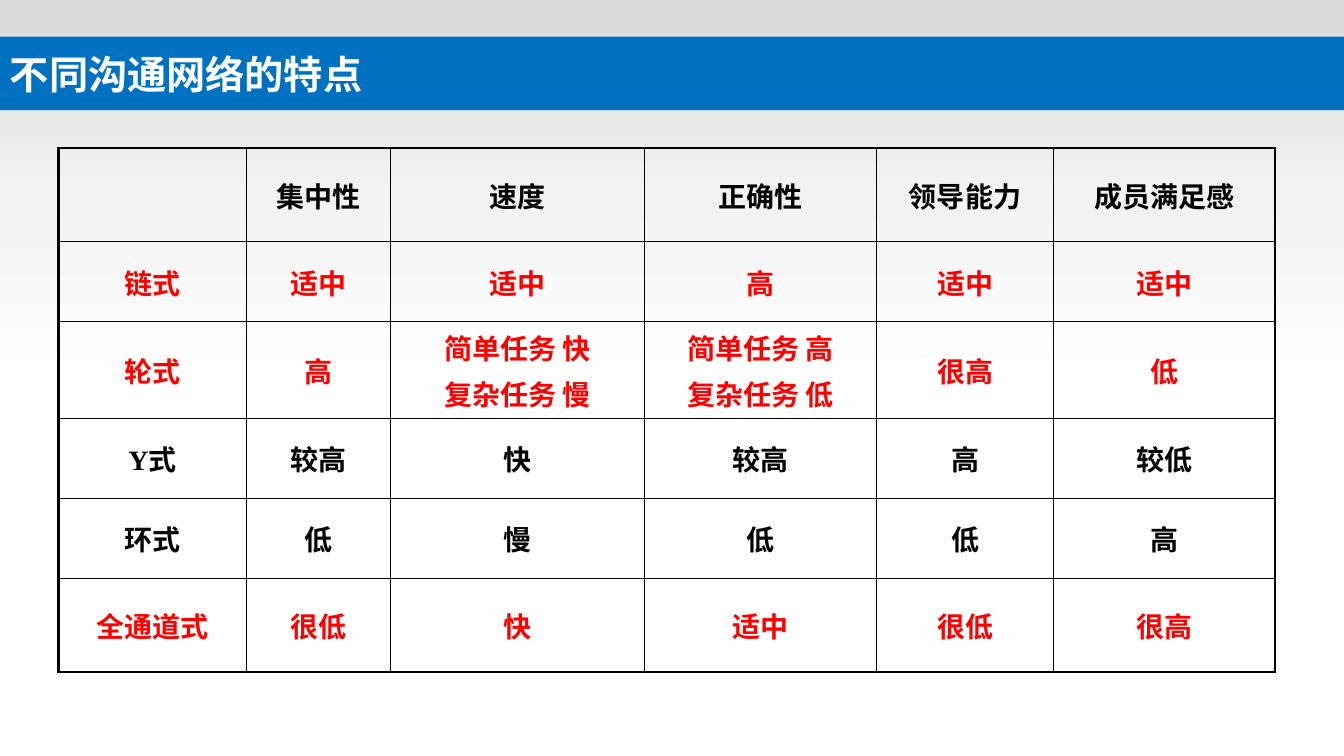
"""Build a slide with a table comparing communication networks."""
from copy import deepcopy

from lxml.etree import SubElement
from pptx import Presentation
from pptx.dml.color import RGBColor
from pptx.enum.shapes import MSO_SHAPE
from pptx.enum.text import MSO_ANCHOR, PP_ALIGN
from pptx.oxml import parse_xml
from pptx.oxml.ns import nsdecls, qn
from pptx.util import Pt


def color(value):
    return RGBColor.from_string(value)


def style_run(run, latin, size, value):
    run.font.name = latin
    run.font.size = Pt(size)
    run.font.bold = True
    run.font.color.rgb = color(value)
    SubElement(run.font._element, qn("a:ea"), typeface=CHINESE_FONT)


CHINESE_FONT = "Noto Sans CJK SC"
SLIDE_WIDTH = 960
RED, BLACK = "FF0000", "000000"
COLUMN_WIDTHS = [134.6, 102.5, 181.8, 165.7, 126.4, 158.2]
ROWS = [
    (67, BLACK, ["", "集中性", "速度", "正确性", "领导能力", "成员满足感"]),
    (57, RED, ["链式", "适中", "适中", "高", "适中", "适中"]),
    (69.2, RED, ["轮式", "高", "简单任务 快\n复杂任务 慢",
                 "简单任务 高\n复杂任务 低", "很高", "低"]),
    (57, BLACK, ["Y式", "较高", "快", "较高", "高", "较低"]),
    (57, BLACK, ["环式", "低", "慢", "低", "低", "高"]),
    (67, RED, ["全通道式", "很低", "快", "适中", "很低", "很高"]),
]

presentation = Presentation()
presentation.slide_width = Pt(SLIDE_WIDTH)
presentation.slide_height = Pt(540)
slide = presentation.slides.add_slide(presentation.slide_layouts[6])

backdrop = slide.shapes.add_shape(MSO_SHAPE.RECTANGLE, 0, 0, Pt(SLIDE_WIDTH), Pt(275.8))
backdrop.shadow.inherit = False
backdrop.line.fill.background()
backdrop.fill.gradient()
backdrop.fill.gradient_angle = 270
first_stop = backdrop._element.xpath(".//a:gs")[0]
first_stop.addnext(deepcopy(first_stop))
gradient = [(0, "D9D9D9"), (0.5, "F2F2F2"), (1, "FFFFFF")]
for stop, (position, value) in zip(backdrop.fill.gradient_stops, gradient):
    stop.position = position
    stop.color.rgb = color(value)

title = slide.shapes.add_shape(MSO_SHAPE.RECTANGLE, 0, Pt(26.2), Pt(SLIDE_WIDTH), Pt(52.4))
title.shadow.inherit = False
title.fill.solid()
title.fill.fore_color.rgb = color("0070C0")
title.line.fill.background()
title.text_frame.text = "不同沟通网络的特点"
title.text_frame.vertical_anchor = MSO_ANCHOR.MIDDLE
title_paragraph = title.text_frame.paragraphs[0]
title_paragraph.alignment = PP_ALIGN.LEFT
style_run(title_paragraph.runs[0], CHINESE_FONT, 28, "FFFFFF")

table = slide.shapes.add_table(
    len(ROWS), len(COLUMN_WIDTHS), Pt(41.6), Pt(105.8),
    Pt(sum(COLUMN_WIDTHS)), Pt(sum(row[0] for row in ROWS))).table
table.first_row = False
table.horz_banding = False
for column, width in zip(table.columns, COLUMN_WIDTHS):
    column.width = Pt(width)

last_row, last_column = len(ROWS) - 1, len(COLUMN_WIDTHS) - 1
for row_index, (height, text_color, texts) in enumerate(ROWS):
    table.rows[row_index].height = Pt(height)
    for column_index, text in enumerate(texts):
        cell = table.cell(row_index, column_index)
        cell.fill.background()
        cell.vertical_anchor = MSO_ANCHOR.MIDDLE
        cell.margin_left = cell.margin_right = Pt(9.4)
        cell.margin_top = cell.margin_bottom = Pt(3.6)
        cell.text_frame.text = text
        for paragraph_index, paragraph in enumerate(cell.text_frame.paragraphs):
            paragraph.alignment = PP_ALIGN.CENTER
            if paragraph_index:
                paragraph.space_before = Pt(4)
            for run in paragraph.runs:
                style_run(run, "Times New Roman", 20, text_color)
        outer_edges = [("L", column_index == 0), ("R", column_index == last_column),
                       ("T", row_index == 0), ("B", row_index == last_row)]
        for order, (side, is_outer) in enumerate(outer_edges):
            border = parse_xml(
                f'<a:ln{side} {nsdecls("a")} w="{Pt(2.25 if is_outer else 1)}"><a:solidFill>'
                f'<a:srgbClr val="{BLACK}"/></a:solidFill></a:ln{side}>')
            cell._tc.get_or_add_tcPr().insert(order, border)

presentation.save("out.pptx")
